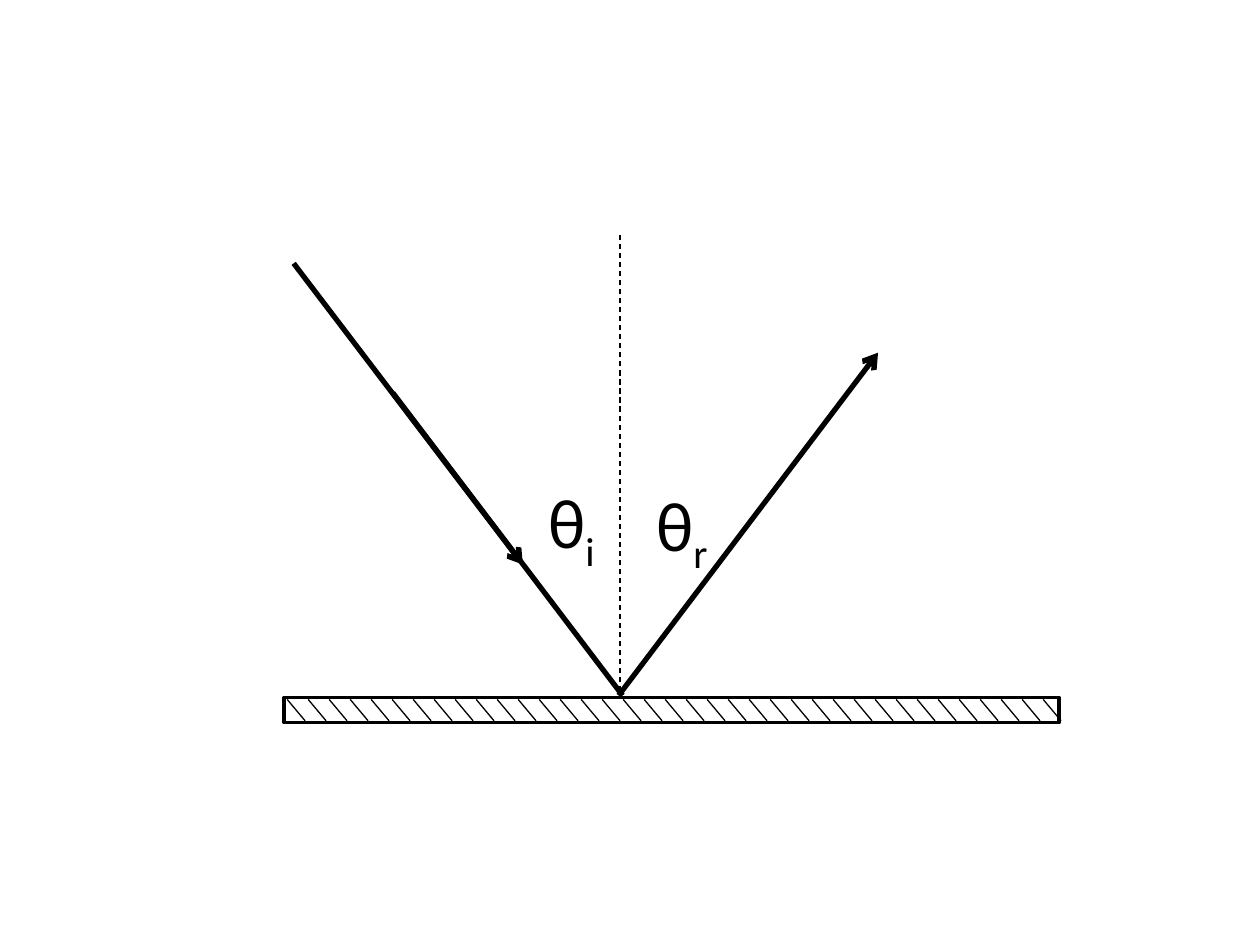
"""Draw the law of reflection: two rays meeting at a hatched mirror."""
from typing import NamedTuple

from pptx import Presentation
from pptx.dml.color import RGBColor
from pptx.enum.dml import MSO_LINE
from pptx.enum.shapes import MSO_CONNECTOR, MSO_SHAPE
from pptx.oxml.ns import qn
from pptx.util import Cm, Pt
from lxml.etree import SubElement

BLACK, WHITE = "000000", "FFFFFF"
MIRROR_LEFT, MIRROR_TOP, MIRROR_WIDTH, MIRROR_HEIGHT = 5.73, 14.06, 15.62, 0.51
HATCH_COUNT, HATCH_START, HATCH_SPAN, HATCH_SLANT = 37, 5.79, 15.24, 0.36
HATCH_TOP, HATCH_BOTTOM = 14.1, 14.53
LABEL_WIDTH, LABEL_HEIGHT = 2.49, 1.96
SYMBOL_FORMAT = {"name": "Calibri", "size": Pt(40)}


class Stroke(NamedTuple):
    start: tuple[float, float]
    end: tuple[float, float]
    weight: float = 0.75
    arrow: bool = False
    dash: MSO_LINE | None = None


class AngleLabel(NamedTuple):
    left: float
    top: float
    subscript: str


RAYS_AND_NORMAL = [
    Stroke((7.92, 7.92), (12.55, 14.02), 3),
    Stroke((5.92, 5.31), (10.54, 11.38), 3, arrow=True),
    Stroke((12.47, 14.02), (17.7, 7.11), 3, arrow=True),
    Stroke((12.5, 13.94), (12.5, 4.7), dash=MSO_LINE.DASH),
]
ANGLES = [AngleLabel(10.8, 9.53, "i"), AngleLabel(12.98, 9.58, "r")]


def colour(value: str) -> RGBColor:
    return RGBColor.from_string(value)


def draw_stroke(shapes, stroke: Stroke) -> None:
    connector = shapes.add_connector(
        MSO_CONNECTOR.STRAIGHT, *map(Cm, stroke.start + stroke.end))
    connector.line.color.rgb = colour(BLACK)
    line_format = {"width": Pt(stroke.weight), "dash_style": stroke.dash}
    for attribute, value in line_format.items():
        setattr(connector.line, attribute, value)
    properties = connector._element.spPr
    if stroke.arrow:
        SubElement(properties.find(qn("a:ln")), qn("a:tailEnd"), type="arrow")
    SubElement(properties, qn("a:effectLst"))


def draw_mirror(shapes) -> None:
    mirror = shapes.add_group_shape().shapes
    plate = mirror.add_shape(
        MSO_SHAPE.RECTANGLE,
        *map(Cm, (MIRROR_LEFT, MIRROR_TOP, MIRROR_WIDTH, MIRROR_HEIGHT)))
    plate.shadow.inherit = False
    plate.fill.solid()
    plate.fill.fore_color.rgb = colour(WHITE)
    plate.line.color.rgb = colour(BLACK)
    plate.line.width = Pt(2)
    pitch = HATCH_SPAN / (HATCH_COUNT - 1)
    for index in range(HATCH_COUNT):
        x = HATCH_START + index * pitch
        draw_stroke(mirror, Stroke((x + HATCH_SLANT, HATCH_BOTTOM), (x, HATCH_TOP)))


def draw_angle(shapes, angle: AngleLabel) -> None:
    label = shapes.add_textbox(
        *map(Cm, (angle.left, angle.top, LABEL_WIDTH, LABEL_HEIGHT)))
    label.text_frame.word_wrap = True
    paragraph = label.text_frame.paragraphs[0]
    for text in ("θ", angle.subscript):
        run = paragraph.add_run()
        run.text = text
        for attribute, value in SYMBOL_FORMAT.items():
            setattr(run.font, attribute, value)
        run.font.color.rgb = colour(BLACK)
    run._r.get_or_add_rPr().set("baseline", "-25000")


def main() -> None:
    presentation = Presentation()
    presentation.slide_width, presentation.slide_height = Cm(25.4), Cm(19.05)
    shapes = presentation.slides.add_slide(presentation.slide_layouts[6]).shapes
    draw_mirror(shapes)
    for stroke in RAYS_AND_NORMAL:
        draw_stroke(shapes, stroke)
    for angle in ANGLES:
        draw_angle(shapes, angle)
    presentation.save("out.pptx")


if __name__ == "__main__":
    main()
